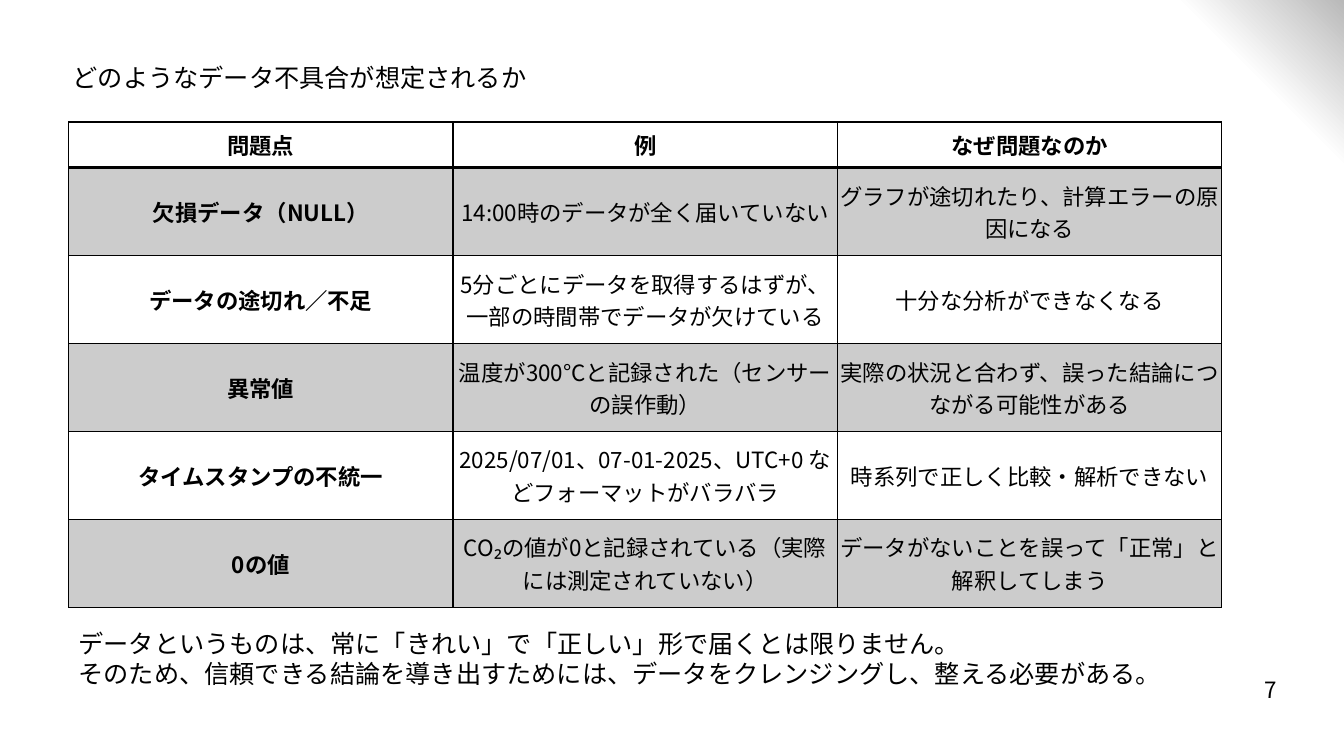
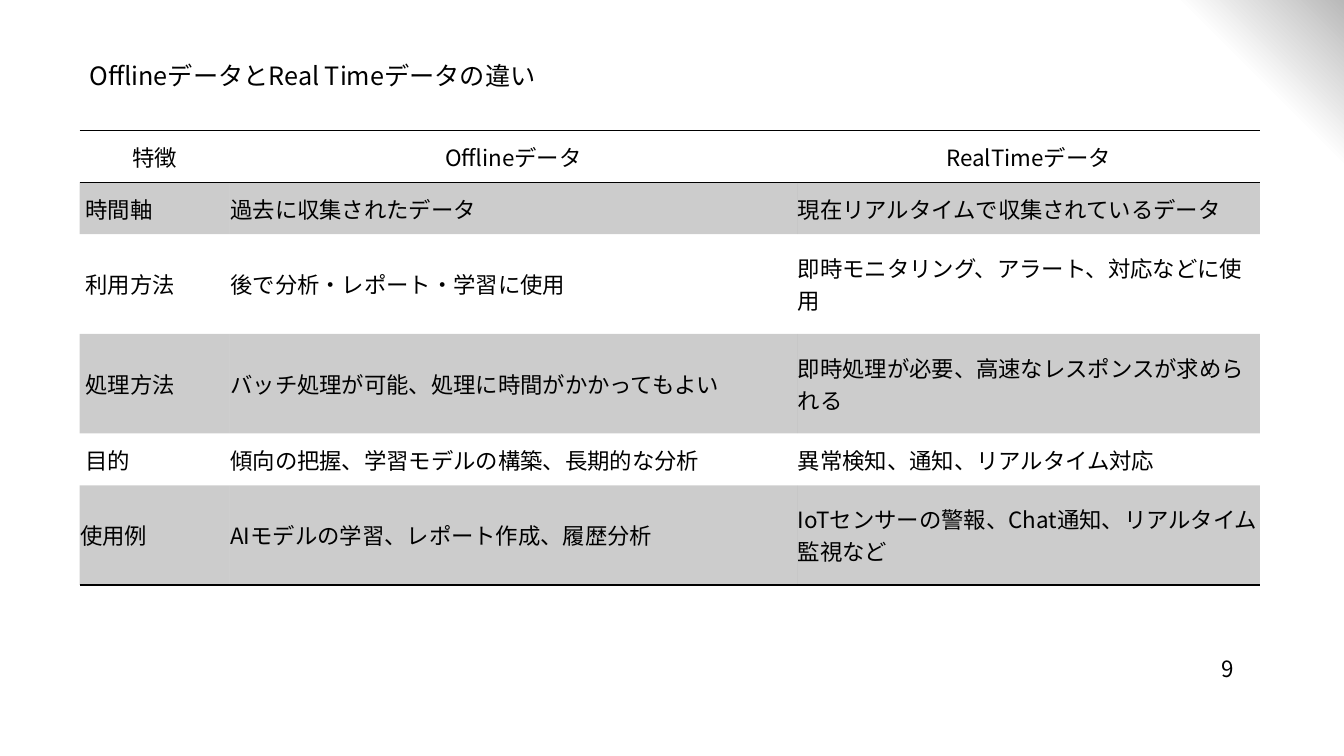
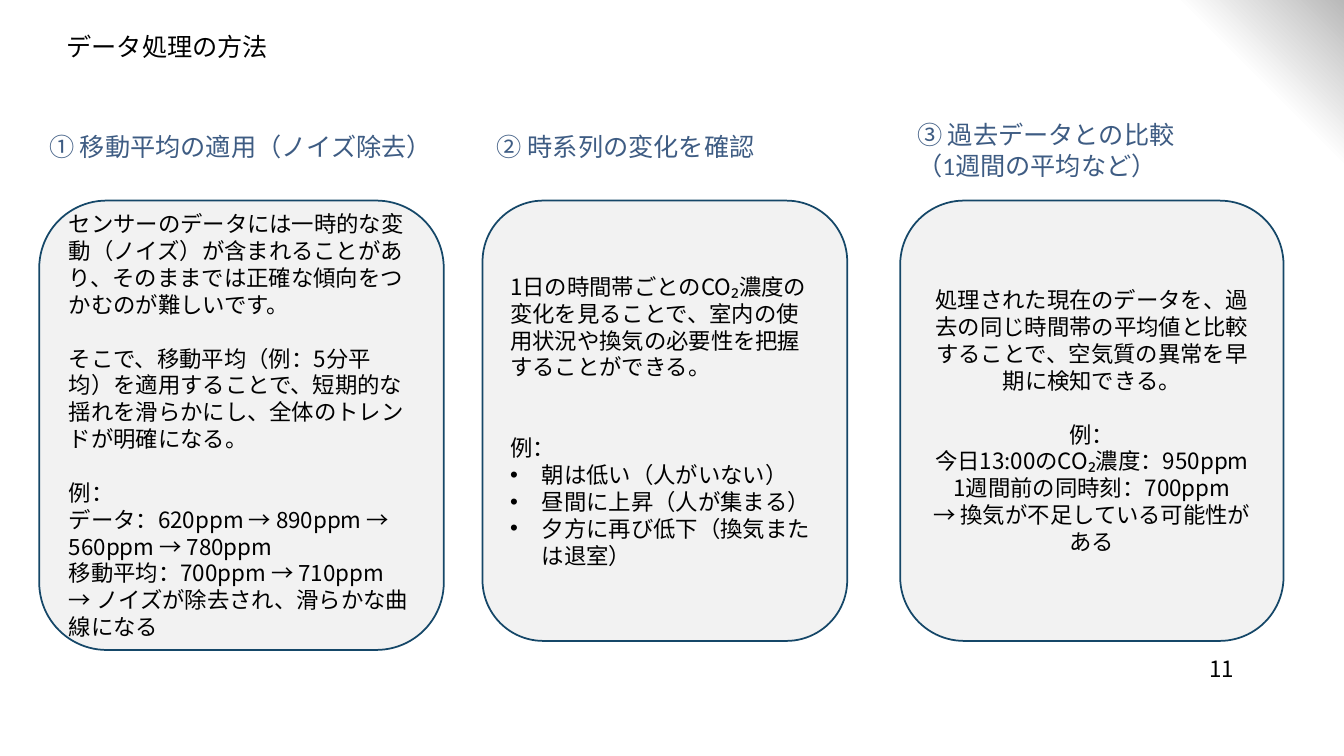
from lxml import etree
from pptx import Presentation
from pptx.dml.color import RGBColor
from pptx.enum.shapes import MSO_SHAPE
from pptx.enum.text import MSO_ANCHOR, MSO_AUTO_SIZE, PP_ALIGN
from pptx.oxml.ns import qn
from pptx.util import Pt

LEFT, MID, RIGHT = PP_ALIGN.LEFT, PP_ALIGN.CENTER, PP_ALIGN.RIGHT
TOP, CENTER = MSO_ANCHOR.TOP, MSO_ANCHOR.MIDDLE
ROUND = MSO_SHAPE.ROUNDED_RECTANGLE
FIXED = MSO_AUTO_SIZE.NONE

NOTO, CALIBRI = "Noto Sans CJK JP", "Calibri"
BLACK, BLUE = "000000", "3E5C83"
CARD_FILL, CARD_LINE = "F2F2F2", "154768"
LEAD = 1.2
BULLET = 22.5
PAD = 0.5


def color(code):
    return RGBColor.from_string(code)


def put(obj, **values):
    for name, value in values.items():
        setattr(obj, name, value)


def place(shape, box):
    put(shape, **dict(zip(("left", "top", "width", "height"), map(Pt, box))))


def add_dot(para):
    props = para._p.get_or_add_pPr()
    props.set("marL", str(Pt(BULLET)))
    props.set("indent", str(-Pt(BULLET)))
    etree.SubElement(props, qn("a:buFont")).set("typeface", "Arial")
    etree.SubElement(props, qn("a:buChar")).set("char", "•")


def write(frame, lines, size=16, font=NOTO, ink=BLACK, bold=False,
          align=LEFT, lead=LEAD):
    """Lines are strings or (text, blank lines before, bullet) tuples."""
    for i, line in enumerate(lines):
        text, gap, dot = (line, 0, False) if isinstance(line, str) else line
        para = frame.paragraphs[0] if i == 0 else frame.add_paragraph()
        put(para, alignment=align, space_before=Pt(gap * size * LEAD))
        if lead:
            para.line_spacing = Pt(size * lead)
        if dot:
            add_dot(para)
        run = para.add_run()
        run.text = text
        put(run.font, size=Pt(size), bold=bold, name=font)
        run.font.color.rgb = color(ink)
        latin = run._r.rPr.find(qn("a:latin"))
        east = etree.Element(qn("a:ea"))
        east.set("typeface", NOTO)
        latin.addnext(east)


def add_text(slide, box, lines, anchor=TOP, **form):
    frame = slide.shapes.add_textbox(*map(Pt, box)).text_frame
    put(frame, word_wrap=True, vertical_anchor=anchor)
    write(frame, lines, **form)


def add_page(deck, title, box, number, spot, font=CALIBRI):
    slide = deck.slides.add_slide(deck.slide_layouts[5])
    head = slide.shapes.title
    place(head, box)
    put(head.text_frame, vertical_anchor=TOP, word_wrap=True, auto_size=FIXED)
    write(head.text_frame, [title], size=18, font=font)
    add_text(slide, (*spot, 60.5, 28.8), [number], anchor=CENTER, align=RIGHT)
    return slide


def add_edge(cell, side, width):
    line = etree.SubElement(cell._tc.get_or_add_tcPr(), qn("a:ln" + side))
    line.set("w", str(Pt(width)))
    if width:
        fill = etree.SubElement(line, qn("a:solidFill"))
        etree.SubElement(fill, qn("a:srgbClr")).set("val", BLACK)
    else:
        etree.SubElement(line, qn("a:noFill"))


def shade(cell):
    cell.fill.solid()
    cell.fill.fore_color.rgb = color(BLACK)
    tint = cell._tc.tcPr.find(qn("a:solidFill")).find(qn("a:srgbClr"))
    etree.SubElement(tint, qn("a:alpha")).set("val", "20000")


def add_grid(slide, spot, cols, heights, rows, rules, side, form, pad):
    """Rules are the widths of the level lines, side that of the upright ones."""
    size = (sum(cols), sum(heights))
    table = slide.shapes.add_table(len(rows), len(cols),
                                   *map(Pt, (*spot, *size))).table
    put(table, first_row=False, horz_banding=False)
    for col, width in zip(table.columns, cols):
        col.width = Pt(width)
    for r, row in enumerate(rows):
        table.rows[r].height = Pt(heights[r])
        for c, text in enumerate(row):
            cell = table.cell(r, c)
            put(cell, vertical_anchor=CENTER, margin_left=Pt(pad(r, c)),
                margin_right=Pt(PAD), margin_top=Pt(PAD),
                margin_bottom=Pt(PAD))
            edges = {"L": side, "R": side, "T": rules[r], "B": rules[r + 1]}
            for name, width in edges.items():
                add_edge(cell, name, width)
            if r and r % 2:
                shade(cell)
            else:
                cell.fill.background()
            write(cell.text_frame, [text], lead=None, **form(r, c))


def add_card(slide, box, lines, align):
    card = slide.shapes.add_shape(ROUND, *map(Pt, box))
    card.shadow.inherit = False
    card.fill.solid()
    card.fill.fore_color.rgb = color(CARD_FILL)
    card.line.color.rgb = color(CARD_LINE)
    card.line.width = Pt(1.25)
    put(card.text_frame, word_wrap=True, vertical_anchor=CENTER)
    write(card.text_frame, lines, align=align)


FAULTS = [
    ("問題点", "例", "なぜ問題なのか"),
    ("欠損データ（NULL）", "14:00時のデータが全く届いていない",
     "グラフが途切れたり、計算エラーの原因になる"),
    ("データの途切れ／不足",
     "5分ごとにデータを取得するはずが、一部の時間帯でデータが欠けている",
     "十分な分析ができなくなる"),
    ("異常値", "温度が300°Cと記録された（センサーの誤作動）",
     "実際の状況と合わず、誤った結論につながる可能性がある"),
    ("タイムスタンプの不統一",
     "2025/07/01、07-01-2025、UTC+0 などフォーマットがバラバラ",
     "時系列で正しく比較・解析できない"),
    ("0の値", "CO₂の値が0と記録されている（実際には測定されていない）",
     "データがないことを誤って「正常」と解釈してしまう"),
]

KINDS = [
    ("特徴", "Offlineデータ", "RealTimeデータ"),
    ("時間軸", "過去に収集されたデータ", "現在リアルタイムで収集されているデータ"),
    ("利用方法", "後で分析・レポート・学習に使用",
     "即時モニタリング、アラート、対応などに使用"),
    ("処理方法", "バッチ処理が可能、処理に時間がかかってもよい",
     "即時処理が必要、高速なレスポンスが求められる"),
    ("目的", "傾向の把握、学習モデルの構築、長期的な分析",
     "異常検知、通知、リアルタイム対応"),
    ("使用例", "AIモデルの学習、レポート作成、履歴分析",
     "IoTセンサーの警報、Chat通知、リアルタイム監視など"),
]

STEPS = [
    ((28, 90, 300, 28.8), ["① 移動平均の適用（ノイズ除去）"],
     (28, 143.3, 289, 321), LEFT,
     ["センサーのデータには一時的な変動（ノイズ）が含まれることがあり、"
      "そのままでは正確な傾向をつかむのが難しいです。",
      ("そこで、移動平均（例：5分平均）を適用することで、"
       "短期的な揺れを滑らかにし、全体のトレンドが明確になる。", 1, False),
      ("例：", 1, False),
      "データ：620ppm → 890ppm → 560ppm → 780ppm",
      "移動平均：700ppm → 710ppm",
      "→ ノイズが除去され、滑らかな曲線になる"]),
    ((347.8, 90, 300, 28.8), ["② 時系列の変化を確認"],
     (344.7, 143.3, 260.5, 314.5), LEFT,
     ["1日の時間帯ごとのCO₂濃度の変化を見ることで、"
      "室内の使用状況や換気の必要性を把握することができる。",
      ("例：", 2, False),
      ("朝は低い（人がいない）", 0, True),
      ("昼間に上昇（人が集まる）", 0, True),
      ("夕方に再び低下（換気または退室）", 0, True)]),
    ((648, 82, 300, 51), ["③ 過去データとの比較", "（1週間の平均など）"],
     (643, 143.3, 273.8, 314.5), MID,
     ["処理された現在のデータを、過去の同じ時間帯の平均値と比較することで、"
      "空気質の異常を早期に検知できる。",
      ("例：", 1, False),
      "今日13:00のCO₂濃度：950ppm",
      "1週間前の同時刻：700ppm",
      "→ 換気が不足している可能性がある"]),
]


def add_faults(deck):
    slide = add_page(deck, "どのようなデータ不具合が想定されるか",
                     (44.8, 41, 480, 28.8), "7", (859, 478))
    add_grid(slide, (49, 87.2), [274.6] * 3, [32.6] + [62.8] * 5, FAULTS,
             [1, 2, 1, 1, 1, 1, 1], 1,
             lambda r, c: {"align": MID, "bold": r == 0 or c == 0},
             lambda r, c: PAD)
    add_text(slide, (49, 445, 834.5, 51),
             ["データというものは、常に「きれい」で「正しい」形で届くとは限りません。",
              "そのため、信頼できる結論を導き出すためには、"
              "データをクレンジングし、整える必要がある。"], size=18)


def add_kinds(deck):
    slide = add_page(deck, "OfflineデータとReal Timeデータの違い",
                     (56.8, 39.6, 480, 28.8), "9", (828, 463), NOTO)
    last = len(KINDS) - 1
    add_grid(slide, (56.8, 93.3), [107.3, 405.3, 330.5],
             [37, 37, 71.2, 71.2, 37, 71.2], KINDS,
             [1, 1, 0, 0, 0, 0, 1], 0,
             lambda r, c: {"align": LEFT if r else MID},
             lambda r, c: 4.2 if c == 0 and 0 < r < last else PAD)


def add_steps(deck):
    slide = add_page(deck, "データ処理の方法",
                     (40.3, 18.7, 564.5, 28.8), "11", (828, 463))
    for spot, head, box, align, lines in STEPS:
        add_card(slide, box, lines, align)
        add_text(slide, spot, head, size=18, font=CALIBRI, ink=BLUE)


def paint_back(master):
    fill = master.background.fill
    fill.gradient()
    fill.gradient_angle = 225
    stops = [(0, "B9B9B9"), (0.08, "FFFFFF")]
    for stop, (spot, code) in zip(fill.gradient_stops, stops):
        stop.position = spot
        stop.color.rgb = color(code)


def main():
    deck = Presentation()
    put(deck, slide_width=Pt(960), slide_height=Pt(540))
    paint_back(deck.slide_master)
    for build in (add_faults, add_kinds, add_steps):
        build(deck)
    deck.save("out.pptx")


if __name__ == "__main__":
    main()
